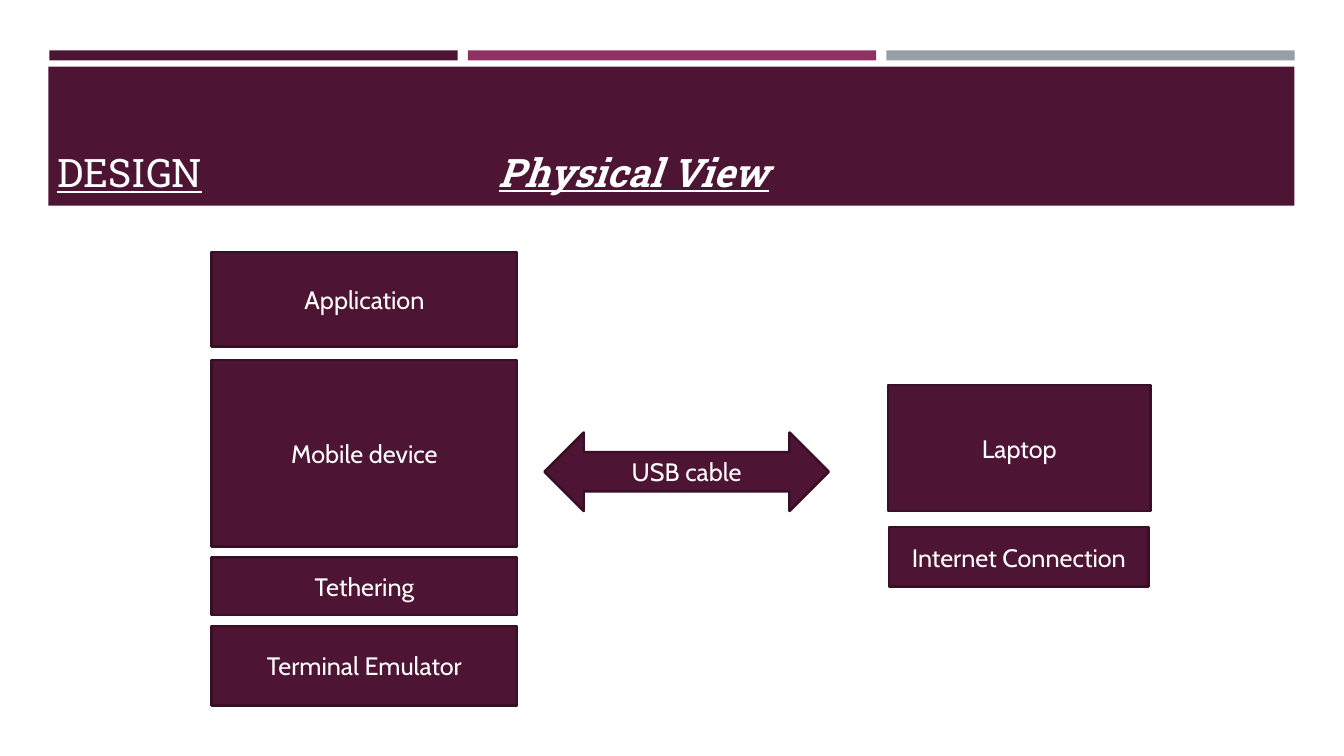
from dataclasses import dataclass

from pptx import Presentation
from pptx.dml.color import RGBColor
from pptx.enum.shapes import MSO_SHAPE
from pptx.enum.text import MSO_ANCHOR, MSO_AUTO_SIZE, PP_ALIGN
from pptx.shapes.autoshape import Shape
from pptx.slide import Slide
from pptx.text.text import TextFrame
from pptx.util import Inches, Pt

RECTANGLE = MSO_SHAPE.RECTANGLE
DOUBLE_ARROW = MSO_SHAPE.LEFT_RIGHT_ARROW
MIDDLE, BOTTOM = MSO_ANCHOR.MIDDLE, MSO_ANCHOR.BOTTOM
LEFT, CENTER = PP_ALIGN.LEFT, PP_ALIGN.CENTER
NO_AUTOFIT = MSO_AUTO_SIZE.NONE
FIT_SHAPE = MSO_AUTO_SIZE.SHAPE_TO_FIT_TEXT

COLORS = {
    "plum": "4D1434",
    "magenta": "903163",
    "gray": "969FA7",
    "outline": "390F26",
    "white": "FFFFFF",
}
HEADING_FONT, BODY_FONT = "Roboto Slab", "Cabin"
STRIP_LEFT, STRIP_WIDTH, STRIP_STEP = 0.49, 4.05, 4.15


@dataclass
class Area:
    left: float
    top: float
    width: float
    height: float

    def lengths(self) -> tuple[Inches, Inches, Inches, Inches]:
        return (Inches(self.left), Inches(self.top),
                Inches(self.width), Inches(self.height))


@dataclass
class Node:
    label: str
    area: Area
    kind: MSO_SHAPE = RECTANGLE


def device_part(label: str, top: float, height: float) -> Node:
    """Describe one block of the stack on the device side."""
    return Node(label, Area(2.1, top, 3.03, height))


NODES = [
    device_part("Application", 2.5, 0.94),
    device_part("Mobile device", 3.57, 1.85),
    device_part("Tethering", 5.53, 0.57),
    device_part("Terminal Emulator", 6.21, 0.79),
    Node("USB cable", Area(5.4, 4.29, 2.82, 0.78), DOUBLE_ARROW),
    Node("Laptop", Area(8.81, 3.82, 2.6, 1.25)),
    Node("Internet Connection", Area(8.82, 5.23, 2.57, 0.59)),
]


def color(name: str) -> RGBColor:
    return RGBColor.from_string(COLORS[name])


def add_filled_shape(page: Slide, kind: MSO_SHAPE, area: Area, fill: str) -> Shape:
    shape = page.shapes.add_shape(kind, *area.lengths())
    shape.shadow.inherit = False
    shape.fill.solid()
    shape.fill.fore_color.rgb = color(fill)
    shape.line.fill.background()
    return shape


def write(frame: TextFrame, text: str, font: str, size: int, align: PP_ALIGN,
          underline: bool = False, emphasis: bool = False) -> None:
    """Write one white run; emphasis makes it bold and italic."""
    frame.word_wrap = True
    para = frame.paragraphs[0]
    para.alignment = align
    span = para.add_run()
    span.text = text
    span.font.name = font
    span.font.size = Pt(size)
    span.font.color.rgb = color("white")
    span.font.underline = underline
    span.font.bold = span.font.italic = emphasis


def add_header(page: Slide) -> None:
    for index, fill in enumerate(("plum", "magenta", "gray")):
        left = STRIP_LEFT + index * STRIP_STEP
        add_filled_shape(page, RECTANGLE, Area(left, 0.5, STRIP_WIDTH, 0.1), fill)
    add_filled_shape(page, RECTANGLE, Area(0.48, 0.66, 12.36, 1.38), "plum")

    title = page.shapes.title
    page.shapes.element.append(title.element)  # bring the title above the band
    title.left, title.top, title.width, title.height = Area(
        0.47, 0.59, 12.34, 1.4).lengths()
    title.text_frame.vertical_anchor = BOTTOM
    title.text_frame.auto_size = NO_AUTOFIT
    write(title.text_frame, "DESIGN", HEADING_FONT, 28, LEFT, underline=True)

    subtitle = page.shapes.add_textbox(*Area(4.85, 1.42, 3.04, 0.57).lengths())
    subtitle.text_frame.auto_size = FIT_SHAPE
    write(subtitle.text_frame, "Physical View", HEADING_FONT, 28, LEFT,
          underline=True, emphasis=True)


def add_node(page: Slide, node: Node) -> None:
    shape = add_filled_shape(page, node.kind, node.area, "plum")
    shape.line.color.rgb = color("outline")
    shape.line.width = Pt(1.75)
    shape.text_frame.vertical_anchor = MIDDLE
    write(shape.text_frame, node.label, BODY_FONT, 18, CENTER)


def main() -> None:
    deck = Presentation()
    deck.slide_width, deck.slide_height = Inches(13.33), Inches(7.5)
    page = deck.slides.add_slide(deck.slide_layouts.get_by_name("Title Only"))
    add_header(page)
    for node in NODES:
        add_node(page, node)
    deck.save("out.pptx")


if __name__ == "__main__":
    main()
